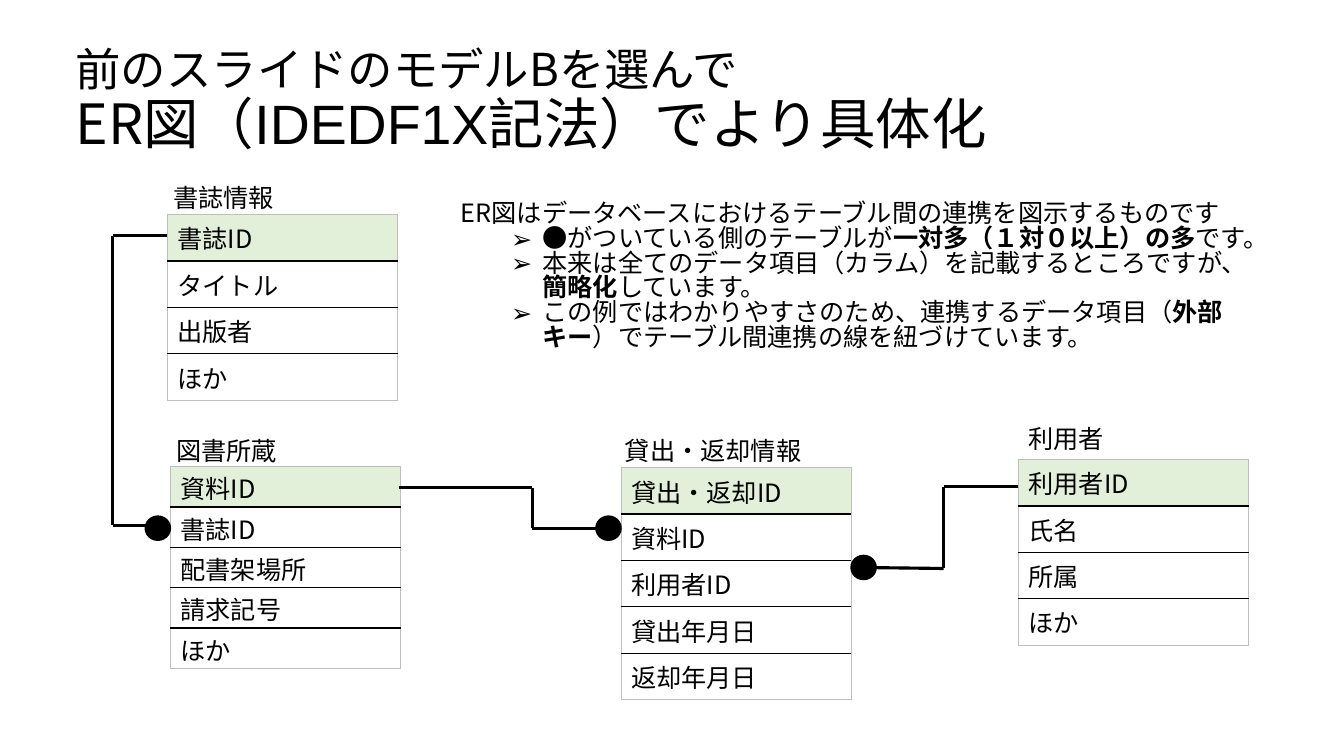
"""Build the library ER diagram slide with its entity tables and relations."""
import dataclasses
import itertools
import typing

import lxml.etree
import pptx
import pptx.dml.color
import pptx.enum.shapes
import pptx.enum.text
import pptx.oxml.ns
import pptx.util

Inches = pptx.util.Inches
Pt = pptx.util.Pt
qn = pptx.oxml.ns.qn
FONT = "Noto Sans CJK JP"
BLACK, WHITE, KEY_GREEN, EDGE_GREY = "000000", "FFFFFF", "E2F0D9", "BFBFBF"
ENTITY_WIDTH = 2.28
DOT_SIZE = (0.25, 0.24)


@dataclasses.dataclass
class Span:
    text: str
    size: float = 18
    latin: str = FONT
    bold: bool = False


@dataclasses.dataclass
class Entity:
    name: str
    label_box: tuple[float, float, float, float]
    left: float
    top: float
    fields: list[str]
    row_height: float = 0.46
    margin_top: float = 0.05
    margin_bottom: float = 0.05


@dataclasses.dataclass
class Relation:
    points: list[tuple[float, float]]
    dot: tuple[float, float]


TITLE_LINES = [
    [Span("前のスライドのモデルBを選んで", 32.4)],
    [Span("ER図（", 39.6), Span("IDEDF1X記法", 39.6, "Arial"),
     Span("）", 39.6, "Roboto"), Span("でより具体化", 39.6)],
]
INTRO = [Span("ER図はデータベースにおけるテーブル間の連携を図示するものです")]
BULLETS = [
    [Span("●がついている側のテーブルが"),
     Span("一対多（１対０以上）の多", bold=True), Span("です。")],
    [Span("本来は全てのデータ項目（カラム）を記載するところですが、"),
     Span("簡略化", bold=True), Span("しています。")],
    [Span("この例ではわかりやすさのため、連携するデータ項目（"),
     Span("外部キー", bold=True), Span("）でテーブル間連携の線を紐づけています。")],
]
ENTITIES = [
    Entity("利用者", (10.1, 4.15, 0.96, 0.4), 10.1, 4.56,
           ["利用者ID", "氏名", "所属", "ほか"]),
    Entity("貸出・返却情報", (6.1, 4.27, 1.97, 0.4), 6.16, 4.64,
           ["貸出・返却ID", "資料ID", "利用者ID", "貸出年月日", "返却年月日"]),
    Entity("書誌情報", (1.62, 1.76, 1.79, 0.4), 1.66, 2.13,
           ["書誌ID", "タイトル", "出版者", "ほか"]),
    Entity("図書所蔵", (1.65, 4.27, 1.79, 0.4), 1.69, 4.63,
           ["資料ID", "書誌ID", "配書架場所", "請求記号", "ほか"], 0.4, 0.03, 0),
]
RELATIONS = [
    Relation([(1.66, 2.34), (1.12, 2.34), (1.12, 5.21), (1.47, 5.21)], (1.44, 5.12)),
    Relation([(3.96, 4.84), (5.28, 4.84), (5.28, 5.24), (5.93, 5.24)], (5.91, 5.12)),
    Relation([(10.1, 4.83), (9.36, 4.83), (9.36, 5.64), (8.56, 5.63)], (8.44, 5.51)),
]


def inches(values: typing.Iterable[float]) -> list[int]:
    return [Inches(value) for value in values]


def colour(target: typing.Any, value: str) -> None:
    target.rgb = pptx.dml.color.RGBColor.from_string(value)


def paint(fill: typing.Any, value: str) -> None:
    fill.solid()
    colour(fill.fore_color, value)


def apply_format(target: typing.Any, formats: dict[str, typing.Any]) -> None:
    for name, value in formats.items():
        setattr(target, name, value)


def place(shape: typing.Any, box: tuple[float, float, float, float]) -> None:
    apply_format(shape, dict(zip(("left", "top", "width", "height"), inches(box))))


def write(para: typing.Any, spans: list[Span]) -> None:
    for span in spans:
        run = para.add_run()
        run.text = span.text
        apply_format(run.font, {"size": Pt(span.size), "name": span.latin, "bold": span.bold})
        colour(run.font.color, BLACK)
        lxml.etree.SubElement(run.font._element, qn("a:ea"), typeface=FONT)


def draw_title(page: typing.Any) -> None:
    title = page.shapes.title
    place(title, (0.65, 0.38, 12.42, 1.26))
    apply_format(title.text_frame, {
        "vertical_anchor": pptx.enum.text.MSO_ANCHOR.MIDDLE, "word_wrap": True})
    para = title.text_frame.paragraphs[0]
    apply_format(para, {"alignment": pptx.enum.text.PP_ALIGN.LEFT, "line_spacing": 0.9})
    first, second = TITLE_LINES
    write(para, first)
    para.add_line_break()
    line_break = para._p.find(qn("a:br"))
    lxml.etree.SubElement(line_break, qn("a:rPr"), sz=str(round(first[0].size * 100)))
    write(para, second)


def set_bullet(para: typing.Any, margin: float, indent: float, mark: str = "") -> None:
    properties = para._p.get_or_add_pPr()
    properties.set("marL", str(Inches(margin)))
    properties.set("indent", str(Inches(indent)))
    if mark:
        lxml.etree.SubElement(properties, qn("a:buFont"), typeface=FONT)
        lxml.etree.SubElement(properties, qn("a:buChar"), char=mark)
    else:
        lxml.etree.SubElement(properties, qn("a:buNone"))


def draw_notes(page: typing.Any) -> None:
    body = page.placeholders[1]
    place(body, (4.47, 1.96, 8.09, 1.92))
    frame = body.text_frame
    apply_format(frame, {"word_wrap": True, "auto_size": pptx.enum.text.MSO_AUTO_SIZE.NONE,
                         "vertical_anchor": pptx.enum.text.MSO_ANCHOR.TOP})
    for index, spans in enumerate([INTRO, *BULLETS]):
        para = frame.add_paragraph() if index else frame.paragraphs[0]
        apply_format(para, {"level": min(index, 1), "line_spacing": 0.82,
                            "space_before": Pt(0), "space_after": Pt(0)})
        set_bullet(para, *((0.81, -0.31, "➢") if index else (0, 0)))
        write(para, spans)


def set_border(cell: typing.Any, side: str, value: str, width: float) -> None:
    properties = cell._tc.get_or_add_tcPr()
    line = lxml.etree.SubElement(properties, qn(f"a:{side}"), w=str(Pt(width)))
    fill = lxml.etree.SubElement(line, qn("a:solidFill"))
    lxml.etree.SubElement(fill, qn("a:srgbClr"), val=value)


def draw_entity(page: typing.Any, entity: Entity) -> None:
    label = page.shapes.add_textbox(*inches(entity.label_box))
    label.text_frame.word_wrap = False
    write(label.text_frame.paragraphs[0], [Span(entity.name)])
    count = len(entity.fields)
    box = (entity.left, entity.top, ENTITY_WIDTH, entity.row_height * count)
    table = page.shapes.add_table(count, 1, *inches(box)).table
    apply_format(table, {"first_row": False, "horz_banding": False})
    for index, field in enumerate(entity.fields):
        table.rows[index].height = Inches(entity.row_height)
        cell = table.cell(index, 0)
        apply_format(cell, {"margin_top": Inches(entity.margin_top),
                            "margin_bottom": Inches(entity.margin_bottom)})
        outer = {"lnL": True, "lnR": True, "lnT": index == 0, "lnB": index == count - 1}
        for side, is_outer in outer.items():
            set_border(cell, side, *((EDGE_GREY, 0.5) if is_outer else (BLACK, 1)))
        paint(cell.fill, WHITE if index else KEY_GREEN)
        write(cell.text_frame.paragraphs[0], [Span(field)])


def draw_relation(page: typing.Any, relation: Relation) -> None:
    for start, end in itertools.pairwise(relation.points):
        line = page.shapes.add_connector(
            pptx.enum.shapes.MSO_CONNECTOR.STRAIGHT, *inches(start + end))
        line.line.width = Pt(2.25)
        colour(line.line.color, BLACK)
        lxml.etree.SubElement(line._element.spPr, qn("a:effectLst"))
    dot = page.shapes.add_shape(
        pptx.enum.shapes.MSO_SHAPE.OVAL, *inches(relation.dot + DOT_SIZE))
    dot.shadow.inherit = False
    paint(dot.fill, BLACK)
    dot.line.width = Pt(1)
    colour(dot.line.color, BLACK)


def main() -> None:
    deck = pptx.Presentation()
    apply_format(deck, {"slide_width": Inches(13.33), "slide_height": Inches(7.5)})
    page = deck.slides.add_slide(deck.slide_layouts[1])
    draw_title(page)
    draw_notes(page)
    for entity in ENTITIES:
        draw_entity(page, entity)
    for relation in RELATIONS:
        draw_relation(page, relation)
    deck.save("out.pptx")


if __name__ == "__main__":
    main()
